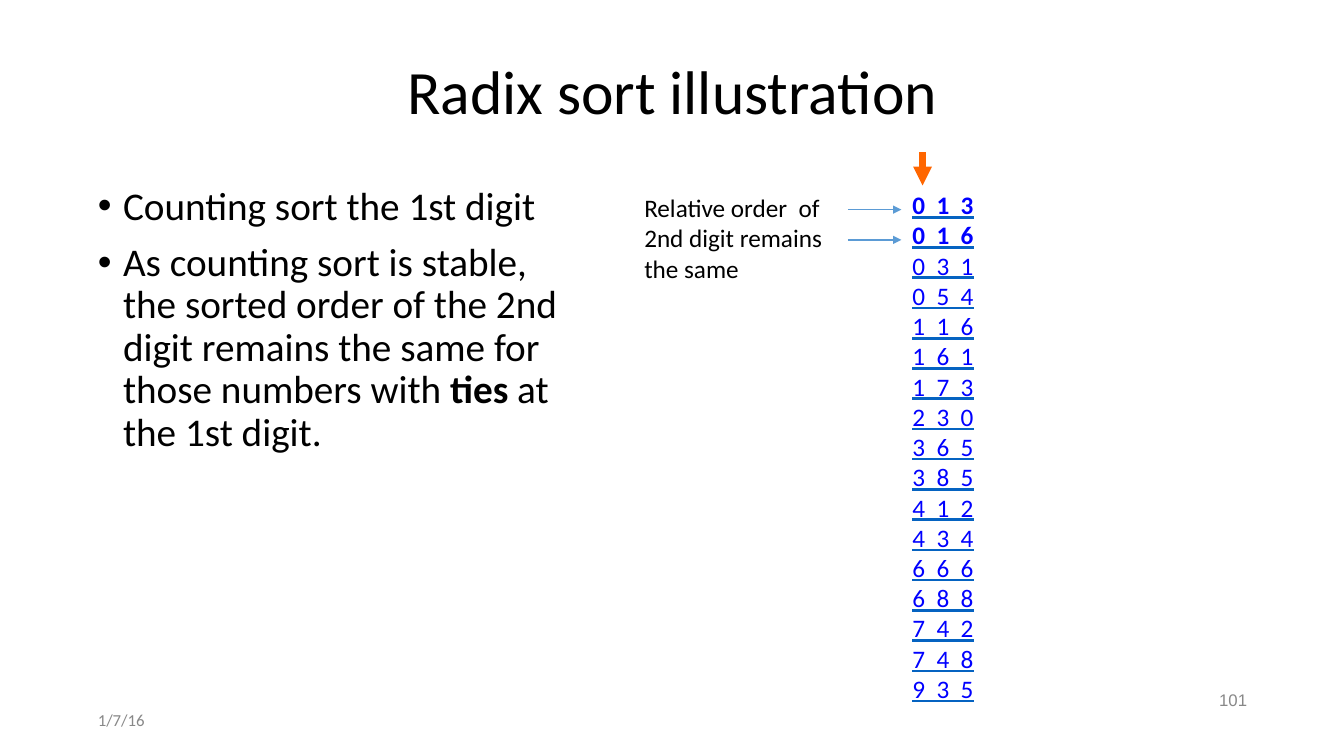
import pptx
import pptx.dml.color
import pptx.enum.shapes
import pptx.enum.text
import pptx.oxml
import pptx.oxml.ns
import pptx.util
from pptx.util import Inches

COLORS = {
    "text": "000000",
    "number": "0000FF",
    "underline": "0563C1",
    "pointer": "FF6600",
    "arrow": "5B9BD5",
    "footer": "888888",
}
ALIGN = pptx.enum.text.PP_ALIGN
ANCHOR = pptx.enum.text.MSO_ANCHOR
AUTO_SIZE = pptx.enum.text.MSO_AUTO_SIZE


def element(tag, attributes="", content=""):
    namespace = pptx.oxml.ns.nsdecls("a")
    return pptx.oxml.parse_xml(f"<a:{tag} {namespace} {attributes}>{content}</a:{tag}>")


class SlideBuilder:
    font = "Calibri"

    def __init__(self, deck):
        self.slide = deck.slides.add_slide(deck.slide_layouts[5])

    def place(self, box, left, top, width, height, anchor, wrap=True, grow=False):
        box.left, box.top = Inches(left), Inches(top)
        box.width, box.height = Inches(width), Inches(height)
        frame = box.text_frame
        frame.margin_left = frame.margin_right = Inches(0.05)
        frame.margin_top = frame.margin_bottom = Inches(0.05)
        frame.vertical_anchor = anchor
        frame.word_wrap = wrap
        frame.auto_size = AUTO_SIZE.SHAPE_TO_FIT_TEXT if grow else AUTO_SIZE.NONE
        return frame

    def fill(self, frame, paragraphs, size, color="text", align=ALIGN.LEFT, font=None,
             spacing=None, bullets=False, underline=False):
        """Each paragraph is a list of (text, bold) pairs."""
        for index, spans in enumerate(paragraphs):
            para = frame.add_paragraph() if index else frame.paragraphs[0]
            para.alignment = align
            if spacing:
                para.line_spacing = spacing
            if bullets:
                para.space_before = pptx.util.Pt(10 if index else 0)
                properties = para._p.get_or_add_pPr()
                properties.set("marL", str(Inches(0.25)))
                properties.set("indent", str(-Inches(0.25)))
                properties.append(element("buFont", 'typeface="Arial"'))
                properties.append(element("buChar", 'char="•"'))
            for text, bold in spans:
                span = para.add_run()
                span.text = text
                span.font.size = pptx.util.Pt(size)
                span.font.bold = bold
                span.font.color.rgb = pptx.dml.color.RGBColor.from_string(COLORS[color])
                if underline:
                    span.font.underline = True
                    line_fill = f'<a:solidFill><a:srgbClr val="{COLORS["underline"]}"/></a:solidFill>'
                    span._r.get_or_add_rPr().append(element("uFill", content=line_fill))
                span.font.name = font or self.font

    def title(self, text, left, top, width, height):
        frame = self.place(self.slide.shapes.title, left, top, width, height, ANCHOR.MIDDLE)
        self.fill(frame, [[(text, False)]], 44, align=ALIGN.CENTER, spacing=0.9)

    def text(self, paragraphs, left, top, width, height, size, anchor=ANCHOR.TOP,
             wrap=True, grow=False, **style):
        box = self.slide.shapes.add_textbox(0, 0, Inches(width), Inches(height))
        frame = self.place(box, left, top, width, height, anchor, wrap, grow)
        self.fill(frame, paragraphs, size, **style)

    def arrow(self, start, end, color, weight):
        connector = self.slide.shapes.add_connector(
            pptx.enum.shapes.MSO_CONNECTOR.STRAIGHT, *map(Inches, start + end))
        connector.line.color.rgb = pptx.dml.color.RGBColor.from_string(COLORS[color])
        connector.line.width = pptx.util.Pt(weight)
        connector.line._get_or_add_ln().append(element("tailEnd", 'type="triangle"'))
        connector._element.spPr.append(element("effectLst"))


def main():
    deck = pptx.Presentation()
    deck.slide_width, deck.slide_height = Inches(13.33), Inches(7.5)
    page = SlideBuilder(deck)
    page.title("Radix sort illustration", 0.92, 0.4, 11.5, 1.07)

    # Sorted numbers; the first two are highlighted
    numbers = "013 016 031 054 116 161 173 230 365 385 412 434 666 688 742 748 935".split()
    rows = [[("  ".join(number), index < 2)] for index, number in enumerate(numbers)]
    page.text(rows, 9, 1.83, 0.78, 5.29, 18, wrap=False, grow=True,
              color="number", underline=True)

    # Pointer to the current digit
    page.arrow((9.15, 1.51), (9.15, 1.84), "pointer", 4.5)

    # Note on the tied numbers
    page.text([[("Relative order  of 2nd digit remains", False)], [("the same", False)]],
              6.34, 1.86, 1.87, 1.02, 18, grow=True)
    for height in (2.08, 2.38):
        page.arrow((8.41, height), (8.94, height), "arrow", 1)

    # Explanation
    page.text([
        [("Counting sort the 1st digit", False)],
        [("As counting sort is stable, the sorted order of the 2nd digit remains "
          "the same for those numbers with ", False),
         ("ties", True), (" at the 1st digit.", False)],
    ], 0.92, 1.8, 4.92, 4.95, 28, spacing=0.9, bullets=True)

    # Date and page number
    page.text([[("1/7/16", False)]], 0.92, 7, 3, 0.29, 12, anchor=ANCHOR.MIDDLE,
              grow=True, color="footer")
    page.text([[("101", False)]], 9.42, 6.8, 3, 0.29, 12, anchor=ANCHOR.MIDDLE,
              color="footer", align=ALIGN.RIGHT, font="Arial")

    deck.save("out.pptx")


if __name__ == "__main__":
    main()
